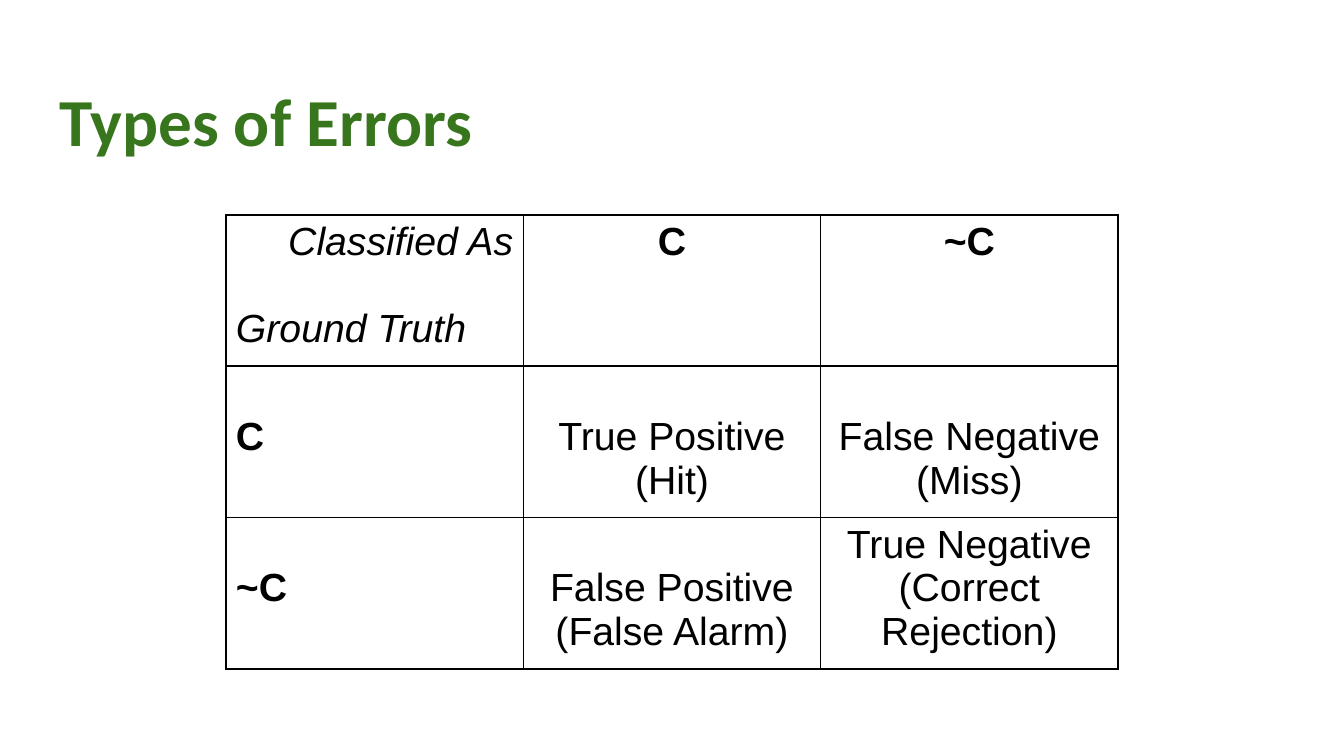
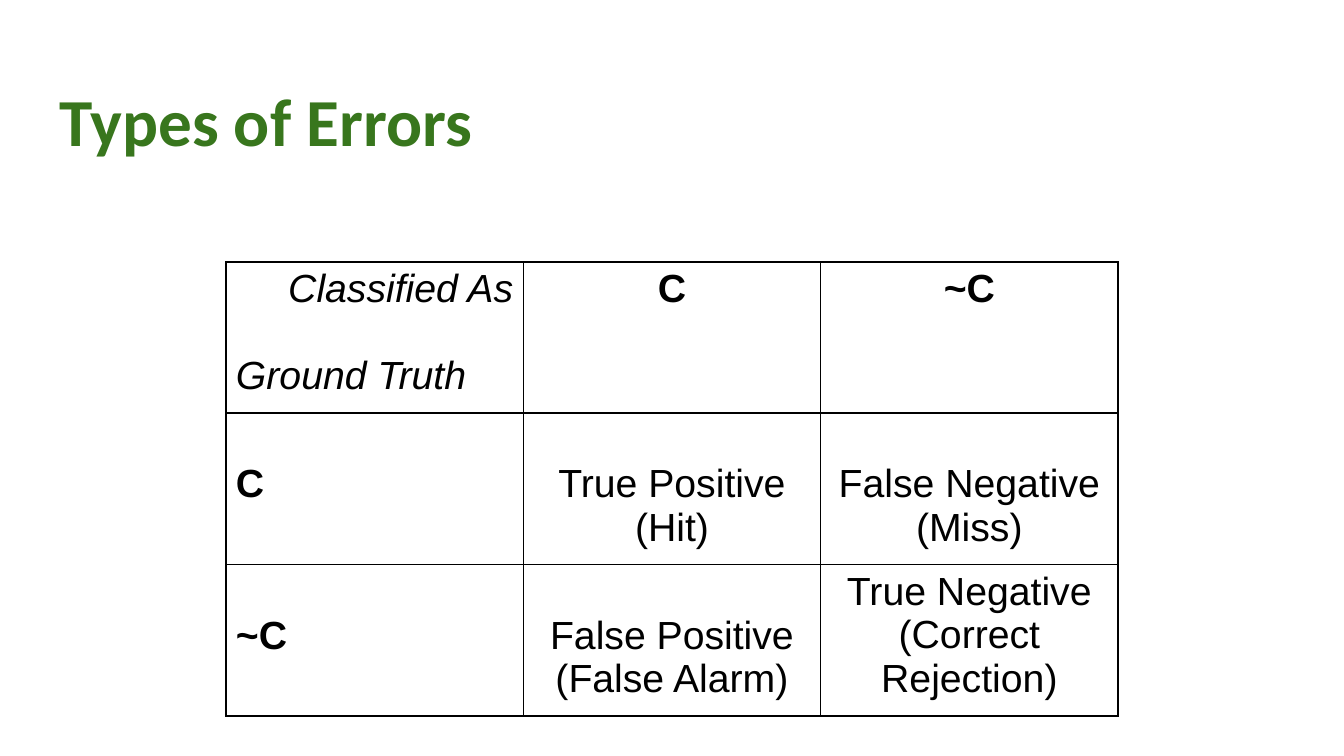
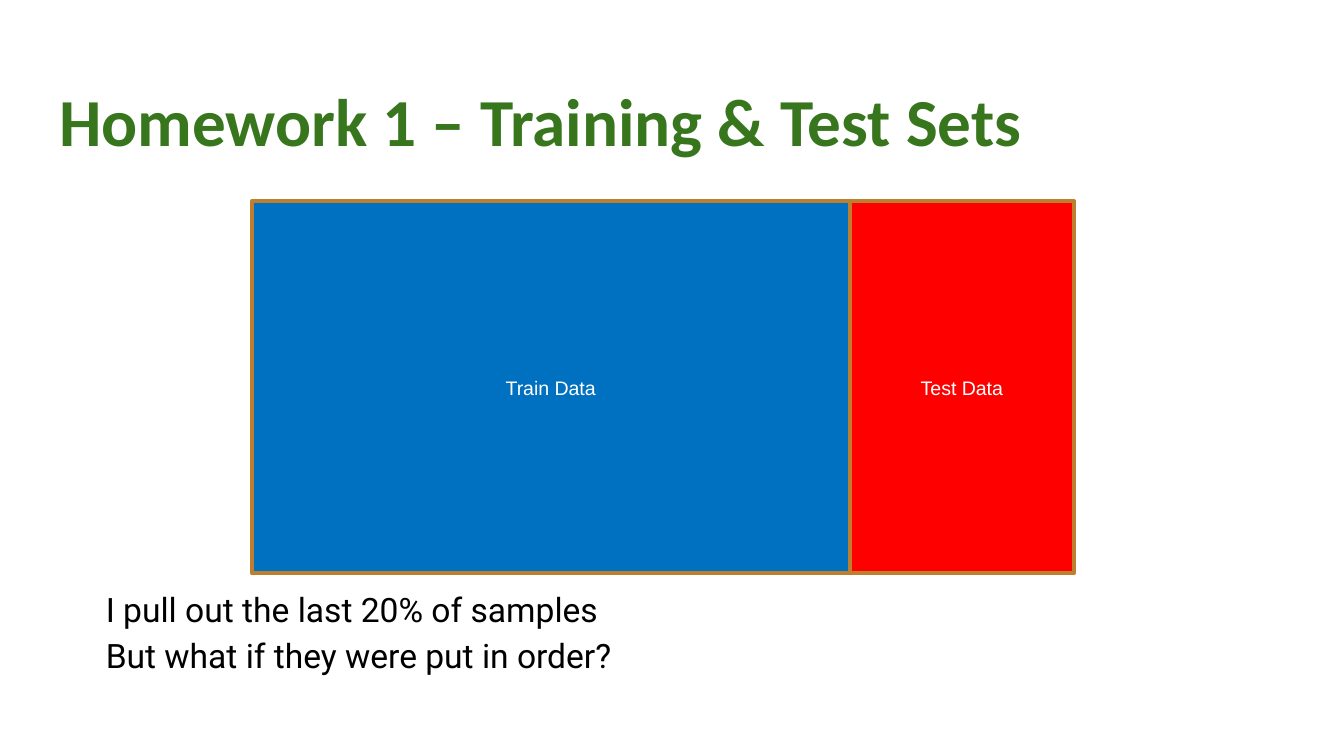
import lxml.etree
import pptx
import pptx.dml.color
import pptx.enum.shapes
import pptx.enum.text
import pptx.oxml.ns
import pptx.util

Cm = pptx.util.Cm
Pt = pptx.util.Pt
RGBColor = pptx.dml.color.RGBColor
ALIGN = pptx.enum.text.PP_ALIGN
ANCHOR = pptx.enum.text.MSO_ANCHOR

# Colours
GREEN = RGBColor(0x38, 0x76, 0x1D)
BLACK = RGBColor(0, 0, 0)
WHITE = RGBColor(0xFF, 0xFF, 0xFF)
BLUE = RGBColor(0x00, 0x70, 0xC0)
RED = RGBColor(0xFF, 0, 0)
BRONZE = RGBColor(0xBD, 0x7F, 0x2F)

# Content: each outcome has its lines and the number of lines left free above
ERRORS_TITLE = "Types of Errors"
AXIS_LABELS = [("Classified As", ALIGN.RIGHT), ("Ground Truth", ALIGN.LEFT)]
CLASSES = ["C", "~C"]
OUTCOMES = [
    [(["True Positive", "(Hit)"], 1), (["False Negative", "(Miss)"], 1)],
    [(["False Positive", "(False Alarm)"], 1), (["True Negative", "(Correct Rejection)"], 0)],
]
TABLE_TOPS = [4.06, 4.95]

HOMEWORK_TITLE = "Homework 1 – Training & Test Sets"
DATA_BLOCKS = [("Train Data", 11.3, BLUE), ("Test Data", 4.24, RED)]
REMARKS = ["I pull out the last 20% of samples", "But what if they were put in order?"]

# Layout, in centimetres
SLIDE_WIDTH, SLIDE_HEIGHT = 25.4, 14.29
TABLE_LEFT, COLUMN_WIDTH, ROW_HEIGHT = 4.27, 5.62, 2.86
CELL_MARGIN_X, CELL_MARGIN_Y, CELL_LINE = 0.19, 0.1, 0.83
BLOCK_LEFT, BLOCK_TOP, BLOCK_HEIGHT = 4.76, 3.8, 7.04
REMARKS_TOP = 10.77


def format_text(paragraph, size, name, color, bold=False, italic=False):
    for run in paragraph.runs:
        font = run.font
        font.size, font.name = Pt(size), name
        font.bold, font.italic = bold, italic
        font.color.rgb = color


def set_margins(frame, margin):
    frame.margin_left = frame.margin_right = Cm(margin)
    frame.margin_top = frame.margin_bottom = Cm(margin)


def add_titled_slide(presentation, text):
    slide = presentation.slides.add_slide(presentation.slide_layouts[5])
    title = slide.shapes.title
    title.left, title.top, title.width, title.height = Cm(0.87), Cm(1.24), Cm(23.67), Cm(1.6)
    frame = title.text_frame
    frame.text = text
    frame.word_wrap = True
    frame.auto_size = pptx.enum.text.MSO_AUTO_SIZE.NONE
    frame.vertical_anchor = ANCHOR.TOP
    set_margins(frame, 0.25)
    frame.paragraphs[0].alignment = ALIGN.LEFT
    format_text(frame.paragraphs[0], 36, "Calibri", GREEN, bold=True)
    return slide


def add_cell_borders(cell):
    properties = cell._tc.get_or_add_tcPr()
    for side in ("a:lnL", "a:lnR", "a:lnT", "a:lnB"):
        line = lxml.etree.SubElement(properties, pptx.oxml.ns.qn(side), w=str(Pt(1)))
        fill = lxml.etree.SubElement(line, pptx.oxml.ns.qn("a:solidFill"))
        lxml.etree.SubElement(fill, pptx.oxml.ns.qn("a:srgbClr"), val=str(BLACK))


def fill_cell(cell, lines, alignment, lines_above=0, bold=False, italic=False):
    cell.margin_left = cell.margin_right = Cm(CELL_MARGIN_X)
    cell.margin_top = Cm(CELL_MARGIN_Y + lines_above * CELL_LINE)
    cell.margin_bottom = Cm(CELL_MARGIN_Y)
    cell.text_frame.text = "\n".join(lines)
    for paragraph in cell.text_frame.paragraphs:
        paragraph.alignment = alignment
        format_text(paragraph, 21, "Arial", BLACK, bold, italic)


def add_error_table(slide, top):
    size = len(CLASSES) + 1
    table = slide.shapes.add_table(
        size, size, Cm(TABLE_LEFT), Cm(top), Cm(size * COLUMN_WIDTH), Cm(size * ROW_HEIGHT)
    ).table
    table.first_row = table.horz_banding = False
    for column in table.columns:
        column.width = Cm(COLUMN_WIDTH)
    for row in table.rows:
        row.height = Cm(ROW_HEIGHT)
    for cell in table.iter_cells():
        add_cell_borders(cell)
        cell.fill.background()

    # Corner cell naming both axes
    corner = table.cell(0, 0)
    fill_cell(corner, [label for label, _ in AXIS_LABELS], ALIGN.LEFT, italic=True)
    for paragraph, (_, alignment) in zip(corner.text_frame.paragraphs, AXIS_LABELS):
        paragraph.alignment = alignment
    corner.text_frame.paragraphs[1].space_before = Pt(23)

    # Class headings and outcomes
    for index, (name, outcomes) in enumerate(zip(CLASSES, OUTCOMES), start=1):
        fill_cell(table.cell(0, index), [name], ALIGN.CENTER, bold=True)
        fill_cell(table.cell(index, 0), [name], ALIGN.LEFT, lines_above=1, bold=True)
        for column, (lines, lines_above) in enumerate(outcomes, start=1):
            fill_cell(table.cell(index, column), lines, ALIGN.CENTER, lines_above)


def add_remarks(slide):
    box = slide.shapes.add_textbox(
        Cm(1.75), Cm(REMARKS_TOP), Cm(21.9), Cm(SLIDE_HEIGHT - REMARKS_TOP)
    )
    frame = box.text_frame
    frame.word_wrap = True
    set_margins(frame, 0.25)
    frame.text = "\n".join(REMARKS)
    for paragraph in frame.paragraphs:
        paragraph.line_spacing = 1.15
        format_text(paragraph, 18, "Roboto", BLACK)


def add_data_blocks(slide):
    left = BLOCK_LEFT
    for label, width, color in DATA_BLOCKS:
        block = slide.shapes.add_shape(
            pptx.enum.shapes.MSO_SHAPE.RECTANGLE,
            Cm(left), Cm(BLOCK_TOP), Cm(width), Cm(BLOCK_HEIGHT),
        )
        block.shadow.inherit = False
        block.fill.solid()
        block.fill.fore_color.rgb = color
        block.line.color.rgb = BRONZE
        block.line.width = Pt(2)
        frame = block.text_frame
        frame.text = label
        frame.vertical_anchor = ANCHOR.MIDDLE
        frame.paragraphs[0].alignment = ALIGN.CENTER
        format_text(frame.paragraphs[0], 10.5, "Arial", WHITE)
        left += width


def main():
    presentation = pptx.Presentation()
    presentation.slide_width, presentation.slide_height = Cm(SLIDE_WIDTH), Cm(SLIDE_HEIGHT)

    # Error tables
    for top in TABLE_TOPS:
        add_error_table(add_titled_slide(presentation, ERRORS_TITLE), top)

    # Homework split
    homework = add_titled_slide(presentation, HOMEWORK_TITLE)
    add_remarks(homework)
    add_data_blocks(homework)

    presentation.save("out.pptx")


if __name__ == "__main__":
    main()
